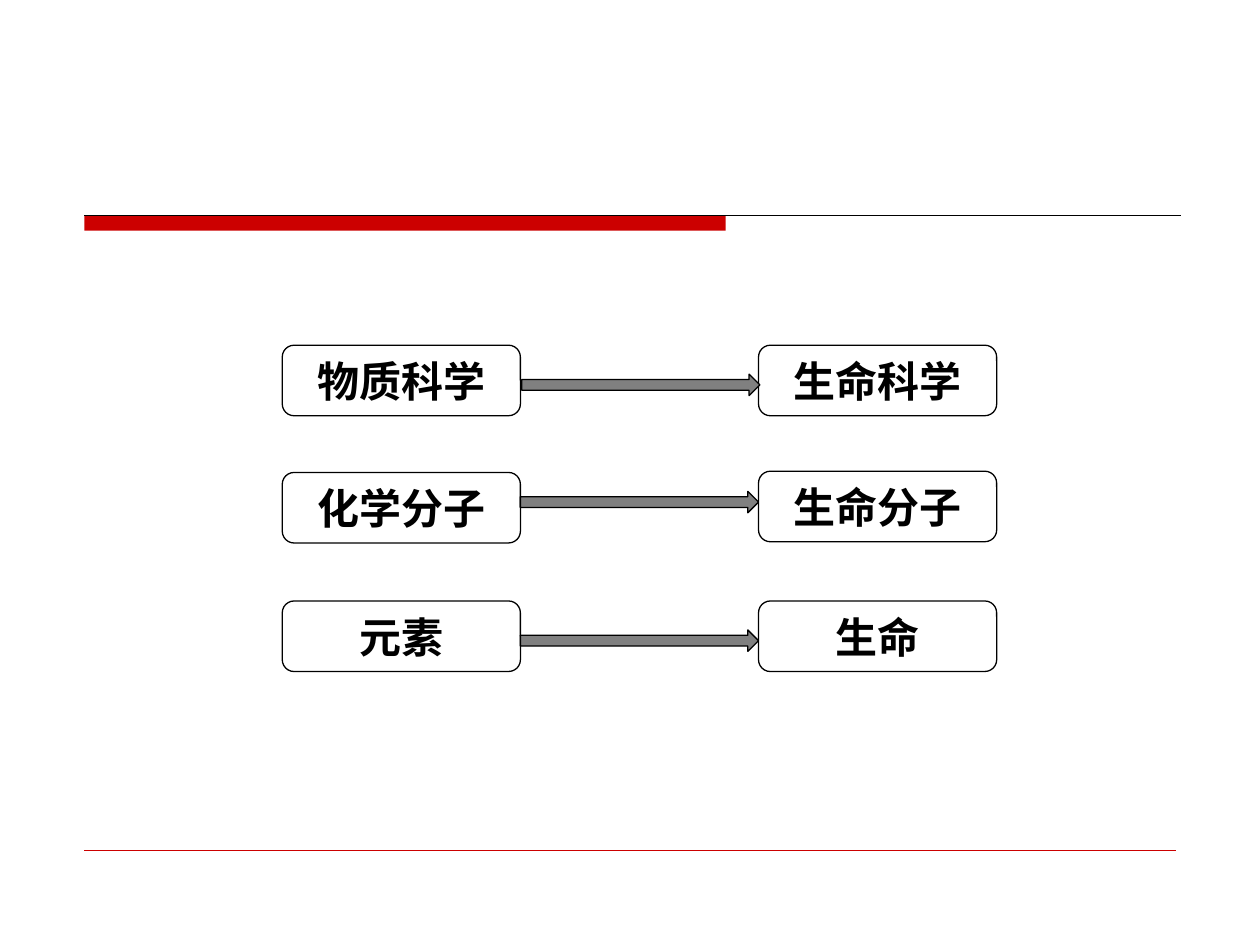
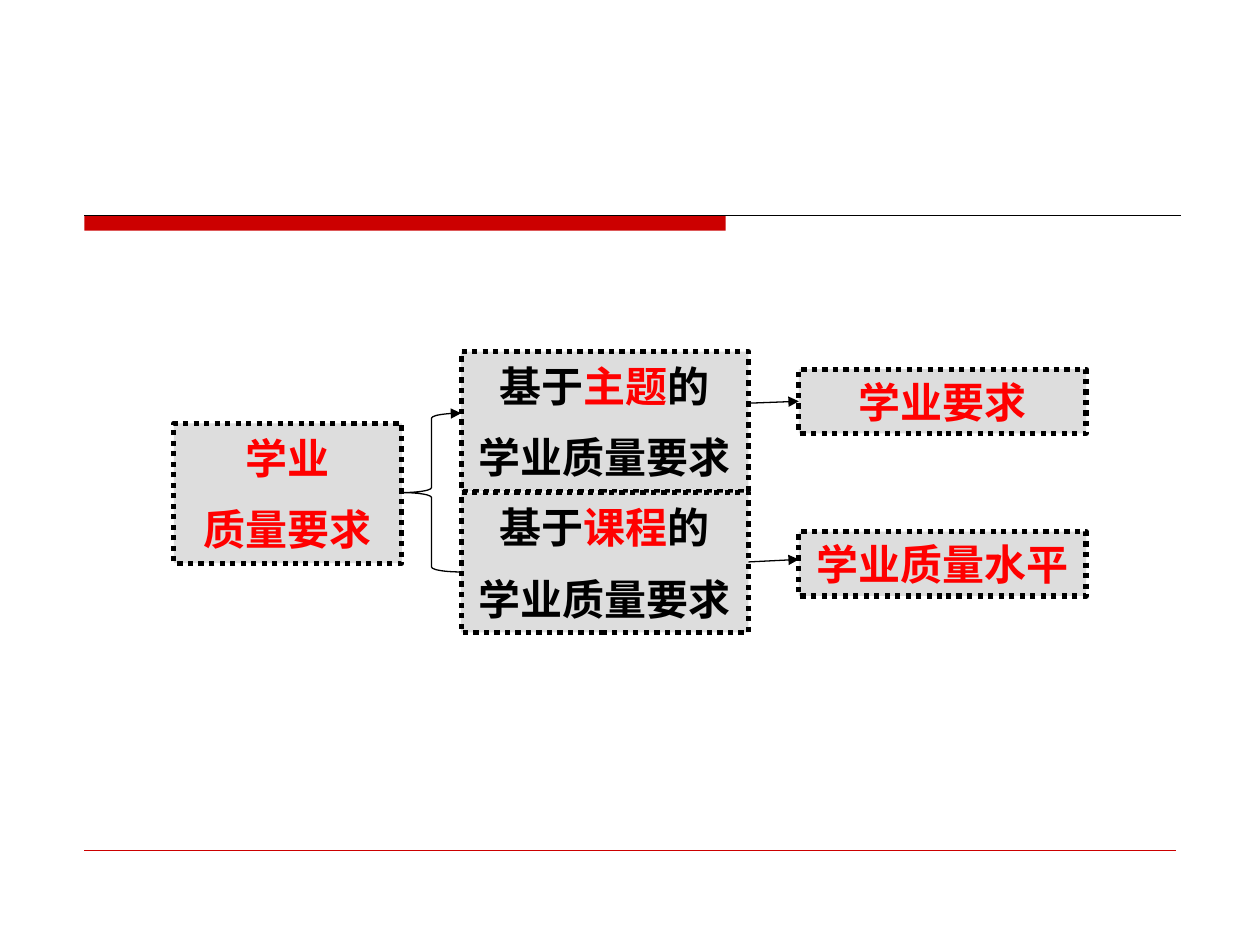
import pptx
import pptx.util
import pptx.dml.color
import pptx.enum.dml
import pptx.enum.shapes
import pptx.enum.text
import pptx.oxml.ns
import lxml.etree

Inches = pptx.util.Inches
Pt = pptx.util.Pt
SHAPE = pptx.enum.shapes.MSO_SHAPE

BLACK = "000000"
RED = "FF0000"
BAND_RED = "CC0000"
ARROW_GRAY = "808080"
BOX_GRAY = "DDDDDD"


def color(value):
    return pptx.dml.color.RGBColor.from_string(value)


def add_child(parent, tag, **attributes):
    return lxml.etree.SubElement(parent, pptx.oxml.ns.qn(tag), attributes)


class Deck:
    def __init__(self, prs):
        self.prs = prs
        self.s = None
        self.size = 24

    def new_slide(self):
        self.s = self.prs.slides.add_slide(self.prs.slide_layouts[6])
        self.shape(SHAPE.RECTANGLE, 0.67, 1.71, 5.09, 0.12, fill=BAND_RED, line=None)
        self.line(0.67, 1.71, 9.37, 1.71)
        self.line(0.67, 6.75, 9.33, 6.75, BAND_RED, 0.25)

    def shape(self, kind, left, top, width, height, fill=None, line=BLACK, weight=0.75):
        sp = self.s.shapes.add_shape(
            kind, Inches(left), Inches(top), Inches(width), Inches(height))
        sp.shadow.inherit = False
        if fill:
            sp.fill.solid()
            sp.fill.fore_color.rgb = color(fill)
        else:
            sp.fill.background()
        if line:
            sp.line.color.rgb = color(line)
            sp.line.width = Pt(weight)
        else:
            sp.line.fill.background()
        return sp

    def arrowhead(self, sp):
        add_child(sp.line._get_or_add_ln(), "a:tailEnd", type="triangle")

    def line(self, x1, y1, x2, y2, line=BLACK, weight=0.75, arrow=False):
        connector = self.s.shapes.add_connector(
            pptx.enum.shapes.MSO_CONNECTOR.STRAIGHT,
            Inches(x1), Inches(y1), Inches(x2), Inches(y2))
        connector.line.color.rgb = color(line)
        connector.line.width = Pt(weight)
        if arrow:
            self.arrowhead(connector)
        add_child(connector._element.spPr, "a:effectLst")
        return connector

    def text(self, sp, lines, font, gap=0):
        tf = sp.text_frame
        tf.word_wrap = True
        tf.vertical_anchor = pptx.enum.text.MSO_ANCHOR.MIDDLE
        tf.margin_left = tf.margin_right = Inches(0.06)
        tf.margin_top = tf.margin_bottom = Inches(0.05)
        for i, runs in enumerate(lines):
            p = tf.paragraphs[0] if i == 0 else tf.add_paragraph()
            p.alignment = pptx.enum.text.PP_ALIGN.CENTER
            p.space_before = Pt(gap if i else 0)
            p.font.size = Pt(self.size)
            p.font.bold = True
            p.font.name = font
            for words, run_color in runs:
                r = p.add_run()
                r.text = words
                r.font.color.rgb = color(run_color)
                r.font.size = Pt(self.size)
                r.font.bold = True
                r.font.name = font
                add_child(r.font._element, "a:ea", typeface=font)

    def round_box(self, left, top, words):
        sp = self.shape(SHAPE.ROUNDED_RECTANGLE, left, top, 1.89, 0.56)
        self.text(sp, [[(words, BLACK)]], "Noto Sans CJK SC")

    def block_arrow(self, left, top):
        self.shape(SHAPE.RIGHT_ARROW, left, top, 1.89, 0.17, ARROW_GRAY)

    def dotted_box(self, left, top, width, height, lines):
        sp = self.shape(SHAPE.RECTANGLE, left, top, width, height, BOX_GRAY, weight=3)
        sp.line.dash_style = pptx.enum.dml.MSO_LINE.ROUND_DOT
        self.text(sp, lines, "DejaVu Sans", gap=12)
        return sp

    def brace(self, left, top, width, height):
        self.arrowhead(self.shape(SHAPE.LEFT_BRACE, left, top, width, height))


def matter_to_life(deck):
    deck.new_slide()
    rows = [
        ("物质科学", 2.74, "生命科学", 2.74, 4.14, 2.97),
        ("化学分子", 3.75, "生命分子", 3.74, 4.13, 3.9),
        ("元素", 4.77, "生命", 4.77, 4.13, 5),
    ]
    for matter, matter_top, life, life_top, arrow_left, arrow_top in rows:
        deck.round_box(2.24, matter_top, matter)
        deck.round_box(6.02, life_top, life)
        deck.block_arrow(arrow_left, arrow_top)


def quality_requirements(deck):
    deck.new_slide()
    deck.dotted_box(1.38, 3.36, 1.81, 1.11, [[("学业", RED)], [("质量要求", RED)]])
    branches = [
        ("主题", 2.79, "学业要求", 2.93, 3.2),
        ("课程", 3.91, "学业质量水平", 4.22, 4.46),
    ]
    results = []
    for basis, basis_top, result, result_top, arrow_top in branches:
        deck.dotted_box(3.66, basis_top, 2.28, 1.11, [
            [("基于", BLACK), (basis, RED), ("的", BLACK)],
            [("学业质量要求", BLACK)]])
        results.append(deck.dotted_box(6.34, result_top, 2.28, 0.51, [[(result, RED)]]))
    deck.brace(3.19, 3.28, 0.47, 1.26)
    arrows = [deck.line(5.94, branch[-1], 6.34, branch[-1] - 0.02, arrow=True)
              for branch in branches]
    arrows[0].end_connect(results[0], 1)


def main():
    prs = pptx.Presentation()
    prs.slide_width = Inches(10)
    prs.slide_height = Inches(7.5)
    deck = Deck(prs)
    matter_to_life(deck)
    quality_requirements(deck)
    prs.save("out.pptx")


if __name__ == "__main__":
    main()
